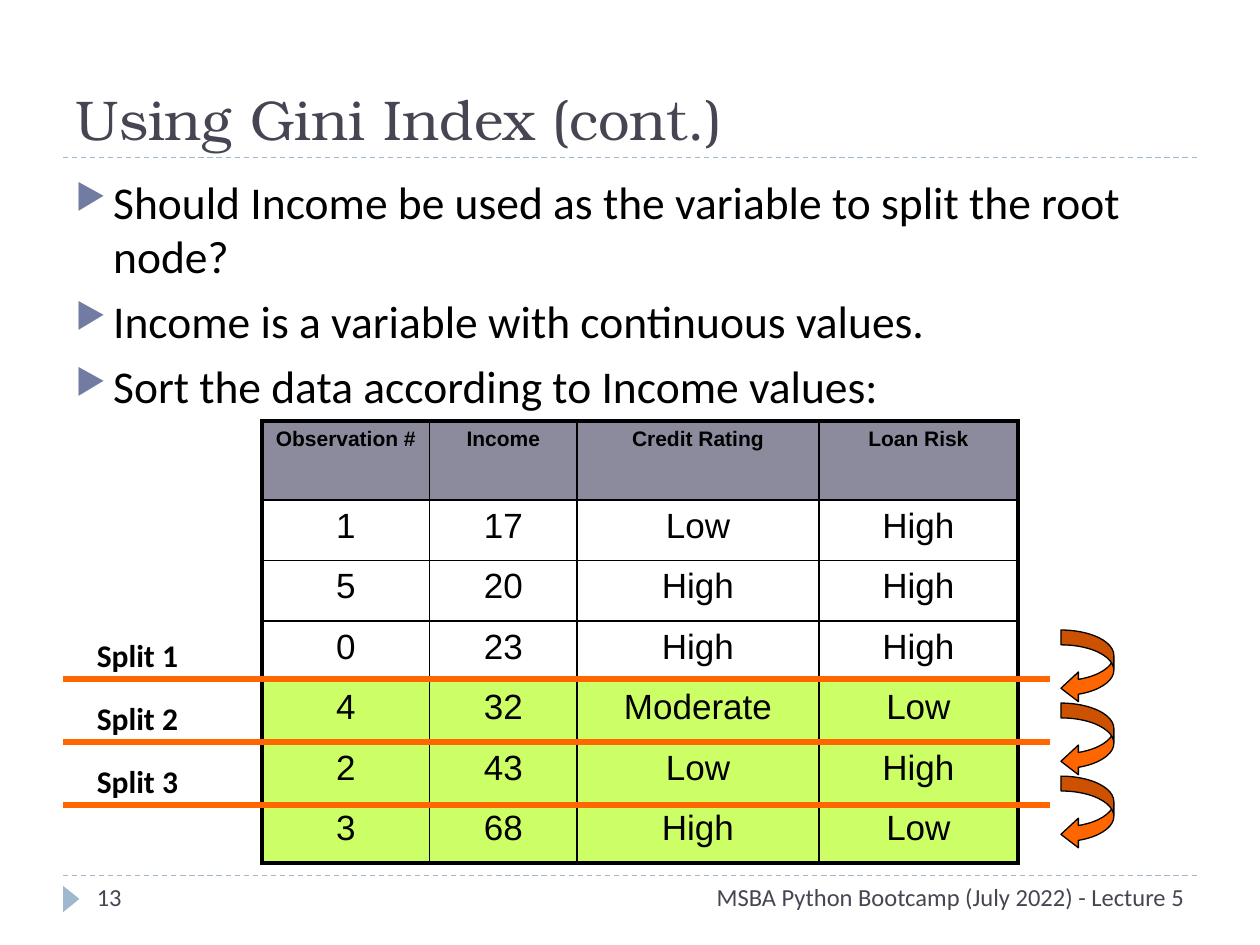
from lxml.etree import SubElement
from pptx import Presentation
from pptx.dml.color import RGBColor
from pptx.enum.dml import MSO_LINE
from pptx.enum.shapes import MSO_CONNECTOR, MSO_SHAPE
from pptx.enum.text import MSO_ANCHOR, PP_ALIGN
from pptx.oxml.ns import qn
from pptx.util import Emu, Inches, Pt

TITLE = "Using Gini Index (cont.)"
BULLETS = [
    "Should Income be used as the variable to split the root node?",
    "Income is a variable with continuous values.",
    "Sort the data according to Income values:",
]
ROWS = [
    ("Observation #", "Income", "Credit Rating", "Loan Risk"),
    ("1", "17", "Low", "High"),
    ("5", "20", "High", "High"),
    ("0", "23", "High", "High"),
    ("4", "32", "Moderate", "Low"),
    ("2", "43", "Low", "High"),
    ("3", "68", "High", "Low"),
]
SPLITS = ["Split 1", "Split 2", "Split 3"]
FOOTER = "MSBA Python Bootcamp (July 2022) - Lecture 5"
PAGE = "13"

THEME = {
    "ink": "000000", "heading": "464653", "rule": "9FB8CD", "bullet": "727CA3",
    "header": "8B8B9D", "marked": "CCFF66", "split": "FF6600",
    "title": {"name": "TeX Gyre Bonum", "size": Pt(32)},
    "body": {"name": "Calibri", "size": Pt(26)},
    "label": {"name": "Calibri", "size": Pt(18), "bold": True},
    "footer": {"name": "Calibri", "size": Pt(14)},
    "head": {"name": "Arial", "size": Pt(12), "bold": True},
    "cell": {"name": "Arial", "size": Pt(20), "bold": False},
    "thin": 1, "thick": 2.25,
}
W, H = 10, 7.5
MARGIN = W * 0.05
INNER = W - 2 * MARGIN
RULES = (1.25, 6.95)
TABLE_X, TABLE_Y = 2.08, 3.34
COLS = [1.33, 1.17, 1.92, 1.58]
HEAD_H, ROW_H = 0.63, 0.48
FIRST_MARKED = 4
SPLIT_Y, SPLIT_STEP, SPLIT_END = 5.39, 0.5, 8.33
ARROW_X, ARROW_Y, ARROW_W, ARROW_H = 8.42, 5, 0.42, 0.58


def rgb(key):
    return RGBColor.from_string(THEME[key])


def box(*lengths):
    return [Inches(v) for v in lengths]


def write(p, text, style, color):
    r = p.add_run()
    r.text = text
    for name, value in THEME[style].items():
        setattr(r.font, name, value)
    r.font.color.rgb = rgb(color)


def add_text(s, at, lines, style, color, align=PP_ALIGN.LEFT, anchor=MSO_ANCHOR.TOP):
    tf = s.shapes.add_textbox(*box(*at)).text_frame
    tf.word_wrap = True
    tf.vertical_anchor = anchor
    for i, line in enumerate(lines):
        p = tf.add_paragraph() if i else tf.paragraphs[0]
        p.alignment = align
        write(p, line, style, color)
    return tf


def add_bullet(p):
    p.space_before = Pt(6)
    pPr = p._p.get_or_add_pPr()
    pPr.set("marL", str(Inches(0.3)))
    pPr.set("indent", str(-Inches(0.3)))
    clr = SubElement(pPr, qn("a:buClr"))
    SubElement(clr, qn("a:srgbClr"), val=THEME["bullet"])
    SubElement(pPr, qn("a:buSzPct"), val="76000")
    SubElement(pPr, qn("a:buChar"), char="▶")


def add_line(s, y, end, color, width, dash=None):
    sp = s.shapes.add_connector(MSO_CONNECTOR.STRAIGHT, *box(MARGIN, y, end, y))
    SubElement(sp._element.spPr, qn("a:effectLst"))
    sp.line.color.rgb = rgb(color)
    sp.line.width = Pt(width)
    if dash:
        sp.line.dash_style = dash


def add_shape(s, kind, at, color, outline=None):
    sp = s.shapes.add_shape(kind, *box(*at))
    sp.shadow.inherit = False
    sp.fill.solid()
    sp.fill.fore_color.rgb = rgb(color)
    if outline:
        sp.line.color.rgb = rgb(outline)
        sp.line.width = Pt(0.75)
    else:
        sp.line.fill.background()
    return sp


def set_borders(cell, outer):
    tcPr = cell._tc.get_or_add_tcPr()
    for i, side in enumerate("LRTB"):
        width = THEME["thick" if outer[side] else "thin"]
        ln = SubElement(tcPr, qn("a:ln" + side), w=str(Pt(width)))
        fill = SubElement(ln, qn("a:solidFill"))
        SubElement(fill, qn("a:srgbClr"), val=THEME["ink"])
        tcPr.insert(i, ln)


def add_table(s):
    n, m = len(ROWS), len(COLS)
    height = HEAD_H + ROW_H * (n - 1)
    frame = s.shapes.add_table(n, m, *box(TABLE_X, TABLE_Y, sum(COLS), height))
    table = frame.table
    table.first_row = table.horz_banding = False
    for col, width in zip(table.columns, COLS):
        col.width = Inches(width)
    for i, row in enumerate(ROWS):
        table.rows[i].height = Inches(ROW_H if i else HEAD_H)
        color = "header" if i == 0 else "marked" if i >= FIRST_MARKED else None
        for j, text in enumerate(row):
            cell = table.cell(i, j)
            if color:
                cell.fill.solid()
                cell.fill.fore_color.rgb = rgb(color)
            else:
                cell.fill.background()
            p = cell.text_frame.paragraphs[0]
            p.alignment = PP_ALIGN.CENTER
            write(p, text, "cell" if i else "head", "ink")
            set_borders(cell, {"L": j == 0, "R": j == m - 1, "T": i == 0, "B": i == n - 1})


def main():
    prs = Presentation()
    prs.slide_width, prs.slide_height = box(W, H)
    s = prs.slides.add_slide(prs.slide_layouts[6])

    for y in RULES:
        add_line(s, y, W - MARGIN, "rule", 0.75, MSO_LINE.DASH)
    marker = add_shape(s, MSO_SHAPE.ISOSCELES_TRIANGLE, (0.46, 7.07, 0.21, 0.13), "rule")
    marker.rotation = 90

    add_text(s, (MARGIN, 0.17, INNER, 1.08), [TITLE], "title", "heading",
             anchor=MSO_ANCHOR.BOTTOM)
    body = add_text(s, (MARGIN, 1.33, INNER, 5.4), BULLETS, "body", "ink")
    for p in body.paragraphs:
        add_bullet(p)
    add_table(s)

    for i, label in enumerate(SPLITS):
        y = SPLIT_Y + i * SPLIT_STEP
        add_line(s, y, SPLIT_END, "split", 3)
        add_text(s, (0.67, y - 0.39, 1.08, 0.33), [label], "label", "ink")
        at = (ARROW_X, ARROW_Y + i * ARROW_H, ARROW_W, ARROW_H)
        arrow = add_shape(s, MSO_SHAPE.CURVED_LEFT_ARROW, at, "split", "ink")
        for k, value in enumerate((0.28, 0.56, 0.33)):
            arrow.adjustments[k] = value

    add_text(s, (1.33, RULES[1], 8.17, 0.4), [FOOTER], "footer", "heading", PP_ALIGN.RIGHT)
    add_text(s, (0.67, RULES[1], 2.17, 0.4), [PAGE], "footer", "heading")
    prs.save("out.pptx")


if __name__ == "__main__":
    main()
